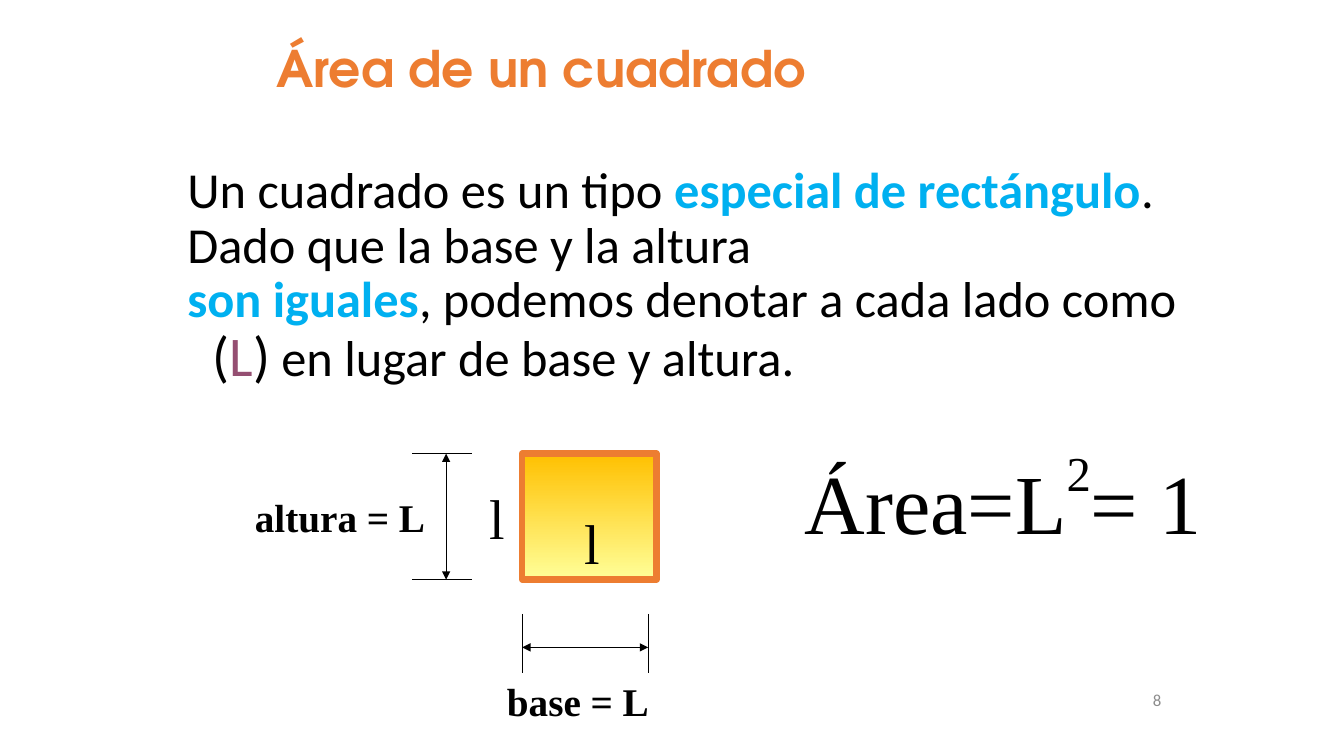
from dataclasses import dataclass

from lxml import etree
from pptx import Presentation
from pptx import util as u
from pptx.dml.color import RGBColor
from pptx.enum import shapes, text
from pptx.oxml import ns


@dataclass(frozen=True)
class Theme:
    ink: str = "000000"
    accent: str = "ED7D31"
    highlight: str = "00B0F0"
    side: str = "954F72"
    muted: str = "8C8C8C"
    gradient: tuple = ("FFC000", "FFFF99")
    body_font: str = "Calibri"
    title_font: str = "TeX Gyre Adventor"
    figure_font: str = "Times New Roman"
    body: int = 36
    symbol: int = 40
    label: int = 28
    formula: int = 60
    number: int = 12
    thin: float = 0.75
    thick: float = 4.5


class SlideBuilder:
    def __init__(self, page, theme):
        self.page = page
        self.theme = theme

    def span(self, para, words, size, font, color=None, bold=False, baseline=None):
        run = para.add_run()
        run.text = words
        run.font.size = u.Pt(size)
        run.font.name = font
        run.font.bold = bold
        run.font.color.rgb = RGBColor.from_string(color or self.theme.ink)
        if baseline:
            run.font._element.set("baseline", str(baseline * 1000))

    def place(self, box, left, top, width, height):
        box.left, box.top = u.Pt(left), u.Pt(top)
        box.width, box.height = u.Pt(width), u.Pt(height)

    def title(self, words, bounds, right_inset):
        box = self.page.shapes.title
        self.place(box, *bounds)
        frame = box.text_frame
        frame.word_wrap = True
        frame.auto_size = text.MSO_AUTO_SIZE.NONE
        frame.vertical_anchor = text.MSO_ANCHOR.TOP
        frame.margin_right = u.Pt(right_inset)
        para = frame.paragraphs[0]
        para.alignment = text.PP_ALIGN.CENTER
        para.line_spacing = 1.0
        self.span(para, words, self.theme.body, self.theme.title_font,
                  self.theme.accent, True)

    def textbox(self, bounds, paragraphs, align=text.PP_ALIGN.LEFT,
                anchor=text.MSO_ANCHOR.TOP, hanging=0, spacing=1.0):
        box = self.page.shapes.add_textbox(*map(u.Pt, bounds))
        frame = box.text_frame
        frame.word_wrap = True
        frame.vertical_anchor = anchor
        for index, spans in enumerate(paragraphs):
            para = frame.add_paragraph() if index else frame.paragraphs[0]
            para.alignment = align
            para.line_spacing = spacing
            if hanging:
                properties = para._p.get_or_add_pPr()
                properties.set("marL", str(u.Pt(hanging)))
                properties.set("indent", str(-u.Pt(hanging)))
            for span in spans:
                self.span(para, **span)
        return box

    def square(self, bounds):
        box = self.page.shapes.add_shape(
            shapes.MSO_SHAPE.RECTANGLE, *map(u.Pt, bounds))
        box.shadow.inherit = False
        box.fill.gradient()
        box.fill.gradient_angle = 270
        stops = zip(box.fill.gradient_stops, self.theme.gradient)
        for position, (stop, color) in enumerate(stops):
            stop.position = position
            stop.color.rgb = RGBColor.from_string(color)
        box.line.color.rgb = RGBColor.from_string(self.theme.accent)
        box.line.width = u.Pt(self.theme.thick)

    def line(self, group, start, end, arrows=False):
        connector = group.shapes.add_connector(
            shapes.MSO_CONNECTOR.STRAIGHT, *map(u.Pt, (*start, *end)))
        connector.line.color.rgb = RGBColor.from_string(self.theme.ink)
        connector.line.width = u.Pt(self.theme.thin)
        if arrows:
            outline = connector.line._get_or_add_ln()
            for tag in ("a:headEnd", "a:tailEnd"):
                etree.SubElement(outline, ns.qn(tag), type="triangle")
        etree.SubElement(connector._element.spPr, ns.qn("a:effectLst"))

    def dimension(self, start, end, axis, tick_from, tick_to):
        group = self.page.shapes.add_group_shape()

        def point(along, across):
            return (along, across) if axis == "x" else (across, along)

        self.line(group, point(start, axis_position(tick_from, tick_to)),
                  point(end, axis_position(tick_from, tick_to)), True)
        for along in (start, end):
            self.line(group, point(along, tick_from), point(along, tick_to))


def axis_position(tick_from, tick_to):
    return tick_from + (tick_to - tick_from) * 0.57


def main():
    deck = Presentation()
    deck.slide_width, deck.slide_height = u.Pt(960), u.Pt(540)
    theme = Theme()
    builder = SlideBuilder(deck.slides.add_slide(deck.slide_layouts[5]), theme)

    def body(words, size=theme.body, **style):
        return dict(words=words, size=size, font=theme.body_font, **style)

    def figure(words, size, **style):
        return dict(words=words, size=size, font=theme.figure_font, **style)

    builder.title("Área de un cuadrado", (147.5, 23, 510, 66), 39)
    builder.textbox((126.75, 114.5, 738.75, 150), [
        [body("Un cuadrado es un tipo "),
         body("especial de rectángulo", color=theme.highlight, bold=True),
         body(".")],
        [body("Dado que la base y la altura")],
        [body("son iguales", color=theme.highlight, bold=True),
         body(", podemos denotar a cada lado como "),
         body("(", theme.symbol),
         body("L", theme.symbol, color=theme.side),
         body(")", theme.symbol),
         body(" en lugar de base y altura.")],
    ], hanging=18, spacing=0.9)

    left, top, side = 373, 324, 90
    builder.square((left, top, 96, side))
    builder.dimension(top, top + side, "y", 294.5, 337)
    builder.dimension(left, left + side, "x", 438.5, 480.5)

    labels = [
        ("l", theme.symbol, False, (342.75, 342, 42, 55.5)),
        ("l", theme.symbol, False, (410.5, 360, 36, 55.5)),
        ("altura = L", theme.label, True, (175, 348.5, 138, 41)),
        ("base = L", theme.label, True, (355, 480.25, 126, 41)),
    ]
    for words, size, bold, bounds in labels:
        builder.textbox(bounds, [[figure(words, size, bold=bold)]])

    builder.textbox((522.75, 312.5, 387.5, 152.5), [[
        figure("Área=L", theme.formula),
        figure("2", theme.formula, baseline=52),
        figure("= 1", theme.formula),
    ]], align=text.PP_ALIGN.CENTER)
    builder.textbox((669, 485.25, 167.75, 28.75),
                    [[body("8", theme.number, color=theme.muted)]],
                    align=text.PP_ALIGN.RIGHT, anchor=text.MSO_ANCHOR.MIDDLE)
    deck.save("out.pptx")


if __name__ == "__main__":
    main()
